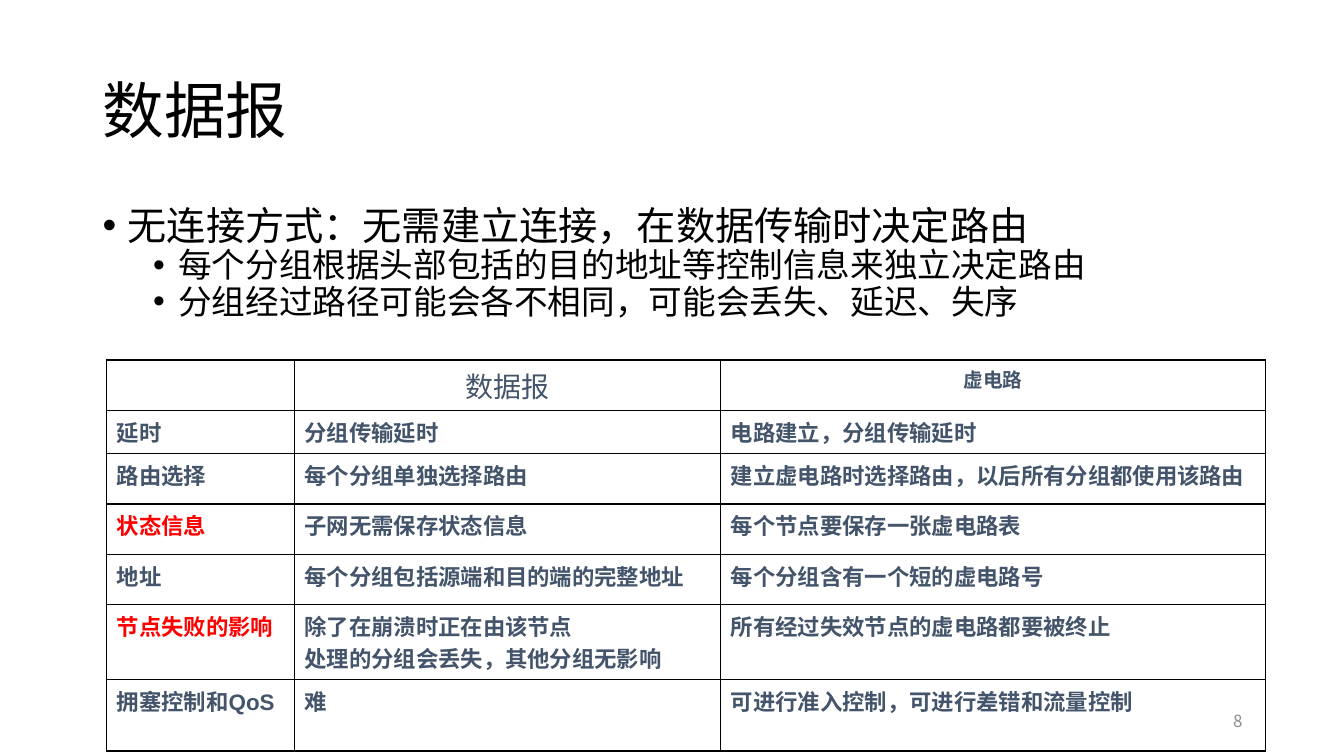
from lxml import etree
from pptx import Presentation
from pptx.dml.color import RGBColor
from pptx.enum.text import MSO_ANCHOR, PP_ALIGN
from pptx.oxml.ns import qn
from pptx.util import Inches, Pt

LEFT, CENTER, RIGHT = PP_ALIGN.LEFT, PP_ALIGN.CENTER, PP_ALIGN.RIGHT
TOP, MIDDLE = MSO_ANCHOR.TOP, MSO_ANCHOR.MIDDLE
CJK = "Noto Sans CJK SC"
COLORS = {"black": "000000", "slate": "44546A", "red": "FF0000", "gray": "8C8C8C"}


def write(frame, text, size, color="black", bold=False, font=CJK,
          align=LEFT, spacing=None, bullet_indent=None):
    """Add paragraphs to a text frame, one per line of text."""
    for line in text.split("\n"):
        para = frame.paragraphs[0]
        if para.runs:
            para = frame.add_paragraph()
        para.alignment = align
        if spacing:
            para.line_spacing = spacing
        if bullet_indent:
            properties = para._p.get_or_add_pPr()
            properties.set("marL", str(Inches(bullet_indent)))
            properties.set("indent", str(Inches(-0.25)))
            etree.SubElement(properties, qn("a:buFont")).set("typeface", "Arial")
            etree.SubElement(properties, qn("a:buChar")).set("char", "•")
        span = para.add_run()
        span.text = line
        span.font.size = Pt(size)
        span.font.bold = bold
        span.font.color.rgb = RGBColor.from_string(COLORS[color])
        span.font.name = font
        etree.SubElement(span._r.get_or_add_rPr(), qn("a:ea")).set("typeface", CJK)


def set_borders(cell, widths):
    """Draw black cell borders; widths are points for left, right, top, bottom."""
    properties = cell._tc.get_or_add_tcPr()
    for index, (side, width) in enumerate(zip("LRTB", widths)):
        line = etree.Element(qn("a:ln" + side), w=str(Pt(width)))
        fill = etree.SubElement(line, qn("a:solidFill"))
        etree.SubElement(fill, qn("a:srgbClr")).set("val", COLORS["black"])
        properties.insert(index, line)


deck = Presentation()
deck.slide_width, deck.slide_height = Inches(13.33), Inches(7.5)
page = deck.slides.add_slide(deck.slide_layouts[6])

# Title, page number and body boxes
frames = {}
for name, left, top, width, height, anchor in [
    ("title", 0.92, 0.4, 11.5, 1.45, MIDDLE),
    ("number", 9.42, 6.95, 3, 0.4, MIDDLE),
    ("body", 0.92, 2, 11.5, 4.76, TOP),
]:
    box = page.shapes.add_textbox(Inches(left), Inches(top), Inches(width), Inches(height))
    frames[name] = box.text_frame
    box.text_frame.word_wrap = True
    box.text_frame.vertical_anchor = anchor

write(frames["title"], "数据报", 44, spacing=0.9)
write(frames["number"], "8", 12, color="gray", align=RIGHT)
write(frames["body"], "无连接方式：无需建立连接，在数据传输时决定路由", 28,
      spacing=0.9, bullet_indent=0.25)
write(frames["body"], "每个分组根据头部包括的目的地址等控制信息来独立决定路由\n"
      "分组经过路径可能会各不相同，可能会丢失、延迟、失序", 24,
      spacing=0.9, bullet_indent=0.75)

# Comparison table
ROWS = [
    ("", "数据报", "虚电路"),
    ("延时", "分组传输延时", "电路建立，分组传输延时"),
    ("路由选择", "每个分组单独选择路由", "建立虚电路时选择路由，以后所有分组都使用该路由"),
    ("状态信息", "子网无需保存状态信息", "每个节点要保存一张虚电路表"),
    ("地址", "每个分组包括源端和目的端的完整地址", "每个分组含有一个短的虚电路号"),
    ("节点失败的影响", "除了在崩溃时正在由该节点\n处理的分组会丢失，其他分组无影响",
     "所有经过失效节点的虚电路都要被终止"),
    ("拥塞控制和QoS", "难", "可进行准入控制，可进行差错和流量控制"),
]
COLUMN_WIDTHS = [1.86, 4.23, 5.4]
ROW_HEIGHTS = [0.5, 0.43, 0.5, 0.5, 0.5, 0.74, 0.71]
HIGHLIGHTED = {"状态信息", "节点失败的影响"}

table = page.shapes.add_table(
    len(ROWS), len(COLUMN_WIDTHS), Inches(1.06), Inches(3.57),
    Inches(sum(COLUMN_WIDTHS)), Inches(sum(ROW_HEIGHTS))).table
table.first_row = table.horz_banding = False
for column, width in zip(table.columns, COLUMN_WIDTHS):
    column.width = Inches(width)
for row, height in zip(table.rows, ROW_HEIGHTS):
    row.height = Inches(height)

last_row, last_column = len(ROWS) - 1, len(COLUMN_WIDTHS) - 1
for r, texts in enumerate(ROWS):
    for c, text in enumerate(texts):
        cell = table.cell(r, c)
        cell.fill.background()
        set_borders(cell, (0.75 if c == 0 else 1, 0.75 if c == last_column else 1,
                           2 if r == 0 else 1, 2 if r == last_row else 1))
        if r == 0 and c == 1:
            write(cell.text_frame, text, 20, color="slate", align=CENTER)
        elif r == 0 and c == 2:
            write(cell.text_frame, text, 14, color="slate", bold=True, font="Arial",
                  align=CENTER)
        elif text:
            write(cell.text_frame, text, 16, bold=True, font="Arial",
                  color="red" if text in HIGHLIGHTED else "slate")

deck.save("out.pptx")
